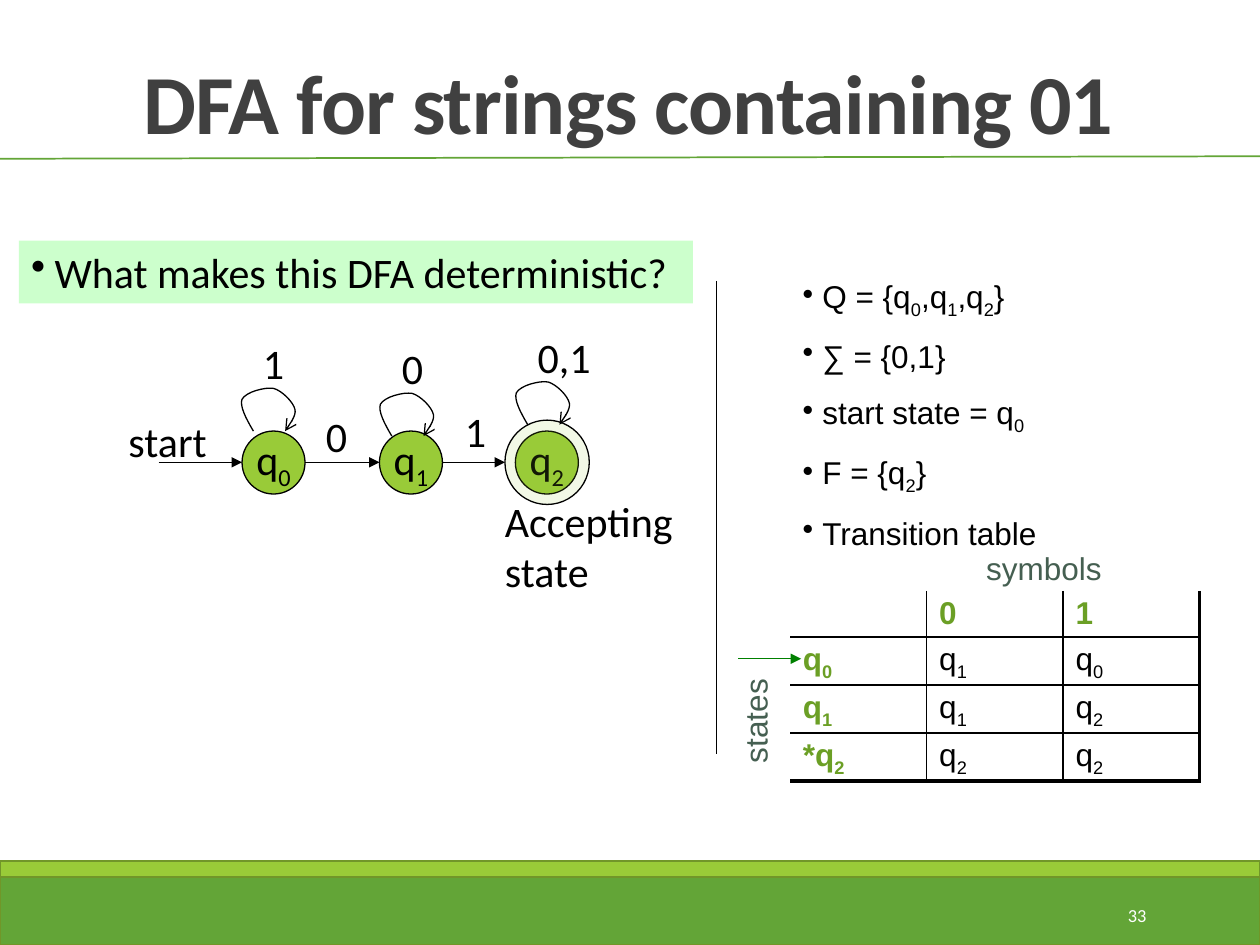
import lxml.etree
import pptx
import pptx.dml.color
import pptx.enum.shapes
import pptx.enum.text
import pptx.oxml.ns
import pptx.util

Cm = pptx.util.Cm
Pt = pptx.util.Pt
qn = pptx.oxml.ns.qn
RGB = pptx.dml.color.RGBColor.from_string
Shapes = pptx.enum.shapes.MSO_SHAPE
Align = pptx.enum.text.PP_ALIGN
Anchor = pptx.enum.text.MSO_ANCHOR


class Theme:
    green, lime, edge = RGB("63A537"), RGB("99CB38"), RGB("719629")
    mint, header, caption = RGB("CCFFCC"), RGB("6B9F25"), RGB("455F51")
    arrow, title, black, white = RGB("008000"), RGB("404040"), RGB("000000"), RGB("FFFFFF")
    title_font = ("Calibri", 48)
    body_font = ("Calibri", 24)
    detail_font = ("Arial", 18)
    number_font = ("Calibri", 10.5)
    thin, medium, thick = 0.75, 1, 2.25


def write(paragraph, text, font, color, bold=False, bullet_indent=None):
    if bullet_indent:
        properties = paragraph._p.get_or_add_pPr()
        properties.set("marL", str(Cm(bullet_indent)))
        properties.set("indent", str(-Cm(bullet_indent)))
        lxml.etree.SubElement(properties, qn("a:buChar")).set("char", "•")
    paragraph.font.name, paragraph.font.size = font[0], Pt(font[1])
    paragraph.font.color.rgb = color
    paragraph.font.bold = bold
    plain, *marked = text.split("_")
    pieces = [(plain, False)]
    for piece in marked:
        pieces += [(piece[0], True), (piece[1:], False)]
    for piece, subscript in pieces:
        if piece:
            run = paragraph.add_run()
            run.text = piece
            if subscript:
                run._r.get_or_add_rPr().set("baseline", "-25000")


def draw_line(start, end, color, width, arrow=False):
    line = slide.shapes.add_connector(
        pptx.enum.shapes.MSO_CONNECTOR.STRAIGHT, *(Cm(value) for value in start + end))
    line.line.color.rgb = color
    line.line.width = Pt(width)
    if arrow:
        lxml.etree.SubElement(line.line._get_or_add_ln(), qn("a:tailEnd")).set("type", "triangle")
    lxml.etree.SubElement(line._element.spPr, qn("a:effectLst"))


presentation = pptx.Presentation()
presentation.slide_width, presentation.slide_height = Cm(25.4), Cm(19.05)
slide = presentation.slides.add_slide(presentation.slide_layouts[6])

for top, height, color in [(17.58, 1.47, Theme.green), (17.35, 0.33, Theme.lime)]:
    band = slide.shapes.add_shape(Shapes.RECTANGLE, 0, Cm(top), Cm(25.4), Cm(height))
    band.shadow.inherit = False
    band.fill.solid()
    band.fill.fore_color.rgb = color
    band.line.color.rgb = Theme.edge
    band.line.width = Pt(1.25)
draw_line((0, 3.2), (25.4, 3.15), Theme.green, Theme.medium)

title = slide.shapes.add_textbox(Cm(1.24), Cm(0.64), Cm(22.86), Cm(2.54))
title.text_frame.word_wrap = True
title.text_frame.vertical_anchor = Anchor.BOTTOM
paragraph = title.text_frame.paragraphs[0]
paragraph.alignment = Align.CENTER
paragraph.line_spacing = 0.85
write(paragraph, "DFA for strings containing 01", Theme.title_font, Theme.title, bold=True)
paragraph.runs[0]._r.get_or_add_rPr().set("spc", "-50")

number = slide.shapes.add_textbox(Cm(20.62), Cm(17.93), Cm(2.74), Cm(1.02))
number.text_frame.word_wrap = True
number.text_frame.vertical_anchor = Anchor.MIDDLE
number.text_frame.paragraphs[0].alignment = Align.RIGHT
write(number.text_frame.paragraphs[0], "33", Theme.number_font, Theme.white)

for index, left in enumerate([4.88, 7.65, 10.39]):
    state = slide.shapes.add_shape(Shapes.OVAL, Cm(left), Cm(8.69), Cm(1.27), Cm(1.27))
    state.shadow.inherit = False
    state.fill.solid()
    state.fill.fore_color.rgb = Theme.lime
    state.line.color.rgb = Theme.black
    state.line.width = Pt(Theme.thin)
    state.text_frame.word_wrap = False
    state.text_frame.vertical_anchor = Anchor.MIDDLE
    state.text_frame.paragraphs[0].alignment = Align.CENTER
    write(state.text_frame.paragraphs[0], f"q_{index}", Theme.body_font, Theme.black)

ring = slide.shapes.add_shape(Shapes.OVAL, Cm(10.18), Cm(8.47), Cm(1.7), Cm(1.7))
ring.shadow.inherit = False
ring.fill.solid()
ring.fill.fore_color.rgb = Theme.lime
ring_color = ring._element.spPr.find(qn("a:solidFill"))[0]
lxml.etree.SubElement(ring_color, qn("a:alpha")).set("val", "12000")
ring.line.color.rgb = Theme.black
ring.line.width = Pt(Theme.thin)

for start, end in [(3.2, 4.88), (6.15, 7.65), (8.92, 10.18)]:
    draw_line((start, 9.32), (end, 9.32), Theme.black, Theme.thin, arrow=True)

loop_curves = [
    ((0, 0), (-0.15, -0.25), (-0.28, -0.51), (-0.23, -0.64)),
    ((-0.23, -0.64), (-0.15, -0.79), (0.23, -0.89), (0.41, -0.86)),
    ((0.41, -0.86), (0.58, -0.81), (0.81, -0.58), (0.84, -0.43)),
    ((0.84, -0.43), (0.86, -0.3), (0.74, -0.15), (0.64, 0)),
]
steps = 8
loop_points = []
for curve in loop_curves:
    for step in range(1, steps + 1):
        t = step / steps
        weights = ((1 - t) ** 3, 3 * t * (1 - t) ** 2, 3 * t ** 2 * (1 - t), t ** 3)
        loop_points.append([sum(w * point[axis] for w, point in zip(weights, curve))
                            for axis in (0, 1)])
for left, top in [(5.11, 8.69), (7.9, 8.79), (10.64, 8.56)]:
    builder = slide.shapes.build_freeform(Cm(left), Cm(top))
    builder.add_line_segments([(Cm(left + x), Cm(top + y)) for x, y in loop_points], close=False)
    loop = builder.convert_to_shape()
    loop.shadow.inherit = False
    loop.fill.background()
    loop.line.color.rgb = Theme.black
    loop.line.width = Pt(Theme.thin)
    lxml.etree.SubElement(loop.line._get_or_add_ln(), qn("a:tailEnd")).set("type", "arrow")

body, detail = Theme.body_font, Theme.detail_font
labels = [
    ("start", 2.34, 8.26, 2.16, 1.27, body, Theme.black, 0),
    ("0", 6.32, 8.15, 0.94, 1.3, body, Theme.black, 0),
    ("1", 9.12, 8.05, 0.94, 1.3, body, Theme.black, 0),
    ("1", 5.05, 6.68, 0.94, 1.3, body, Theme.black, 0),
    ("0", 7.85, 6.78, 0.94, 1.3, body, Theme.black, 0),
    ("0,1", 10.59, 6.55, 1.6, 1.3, body, Theme.black, 0),
    ("Accepting\nstate", 9.93, 9.86, 3.94, 2.31, body, Theme.black, 0),
    ("symbols", 19.63, 10.95, 2.84, 1.02, detail, Theme.caption, 0),
    ("states", 14.12, 14.02, 2.21, 1.02, detail, Theme.caption, 270),
]
for text, left, top, width, height, font, color, rotation in labels:
    label = slide.shapes.add_textbox(Cm(left), Cm(top), Cm(width), Cm(height))
    label.rotation = rotation
    label.text_frame.word_wrap = False
    for index, row_text in enumerate(text.split("\n")):
        paragraph = label.text_frame.add_paragraph() if index else label.text_frame.paragraphs[0]
        write(paragraph, row_text, font, color)

question = slide.shapes.add_textbox(Cm(0.38), Cm(4.85), Cm(13.59), Cm(1.27))
question.fill.solid()
question.fill.fore_color.rgb = Theme.mint
question.text_frame.word_wrap = True
write(question.text_frame.paragraphs[0], "What makes this DFA deterministic?",
      body, Theme.black, bullet_indent=0.47)

draw_line((14.45, 5.66), (14.45, 15.19), Theme.black, Theme.thin)
definition = slide.shapes.add_textbox(Cm(15.93), Cm(5.46), Cm(8.89), Cm(5.64))
definition.text_frame.word_wrap = True
parts = ["Q = {q_0,q_1,q_2}", "∑ = {0,1}", "start state = q_0", "F = {q_2}", "Transition table"]
for index, text in enumerate(parts):
    paragraph = definition.text_frame.paragraphs[0]
    if index:
        paragraph = definition.text_frame.add_paragraph()
        paragraph.space_before = Pt(10)
    write(paragraph, text, detail, Theme.black, bullet_indent=0.4)

transitions = [["", "0", "1"], ["q_0", "q_1", "q_0"], ["q_1", "q_1", "q_2"], ["*q_2", "q_2", "q_2"]]
table = slide.shapes.add_table(4, 3, Cm(15.93), Cm(11.91), Cm(8.25), Cm(3.72)).table
table.first_row = table.horz_banding = False
for column in table.columns:
    column.width = Cm(2.75)
for row_index, row in enumerate(transitions):
    table.rows[row_index].height = Cm(0.93)
    for column_index, text in enumerate(row):
        cell = table.cell(row_index, column_index)
        cell.margin_top, cell.margin_bottom = Cm(0.1), 0
        is_header = row_index == 0 or column_index == 0
        write(cell.text_frame.paragraphs[0], text, detail,
              Theme.header if is_header else Theme.black, bold=is_header)
        borders = {
            "a:lnL": Theme.medium if column_index else 0,
            "a:lnR": Theme.thick if column_index == 2 else Theme.medium,
            "a:lnT": Theme.medium if row_index else 0,
            "a:lnB": Theme.thick if row_index == 3 else Theme.medium,
        }
        for side, width in borders.items():
            border = lxml.etree.SubElement(cell._tc.get_or_add_tcPr(), qn(side), w=str(Pt(width)))
            fill = lxml.etree.SubElement(border, qn("a:solidFill" if width else "a:noFill"))
            if width:
                lxml.etree.SubElement(fill, qn("a:srgbClr"), val=str(Theme.black))
        cell.fill.background()

draw_line((14.88, 13.28), (16.15, 13.28), Theme.arrow, Theme.thin, arrow=True)

presentation.save("out.pptx")
